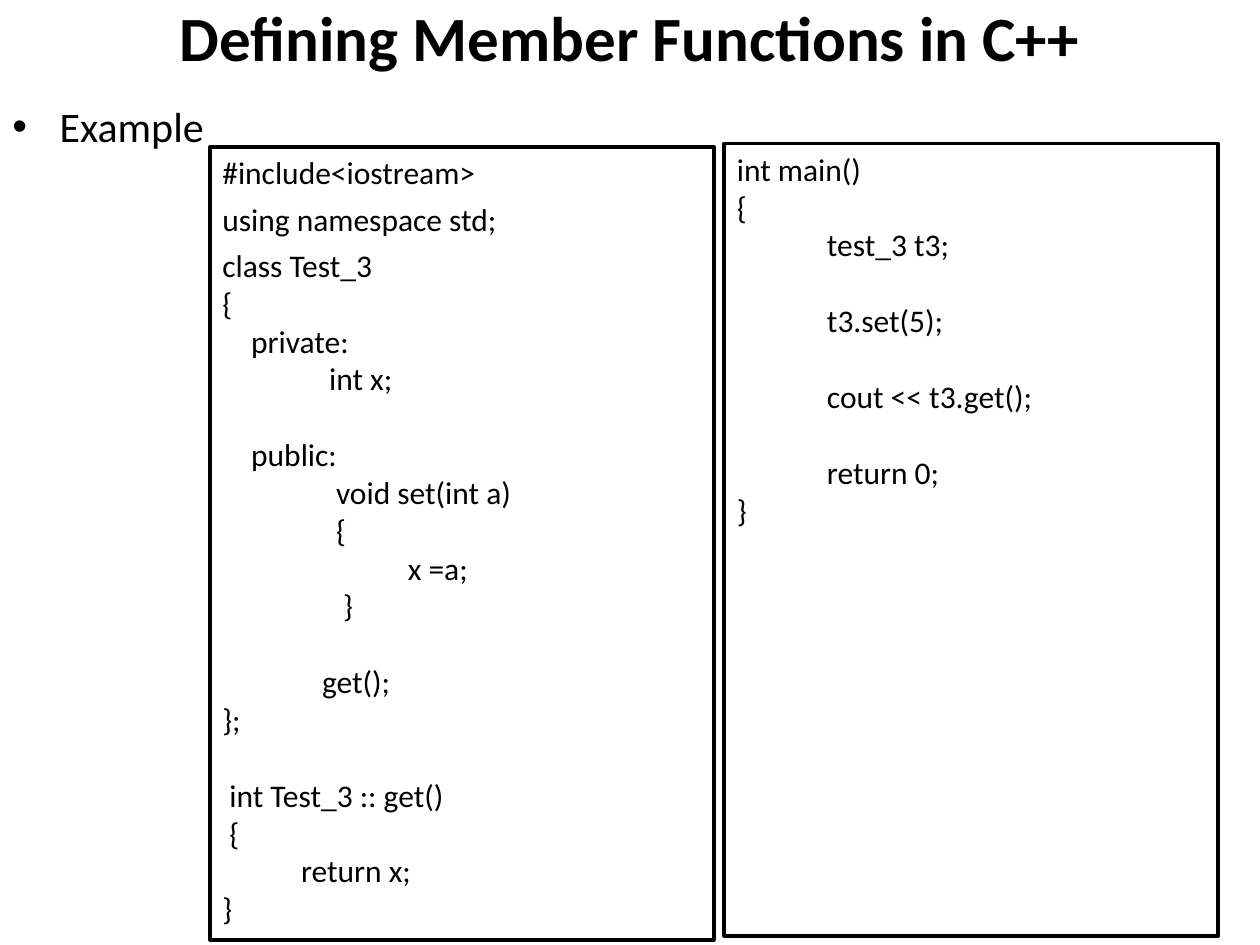
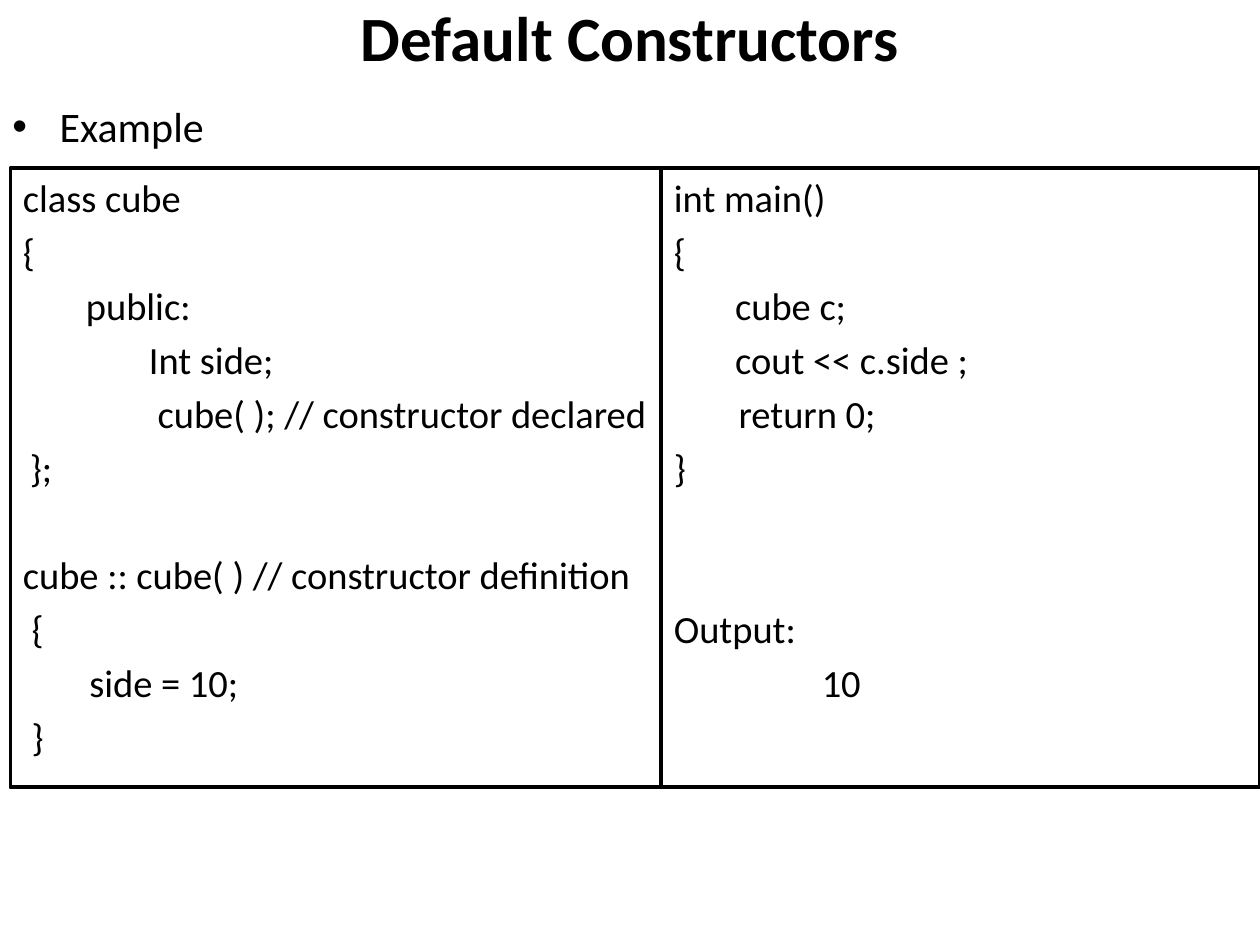
from lxml import etree
from pptx import Presentation
from pptx.dml.color import RGBColor
from pptx.enum import shapes, text
from pptx.oxml import ns
from pptx.util import Pt

BLACK = RGBColor(0x00, 0x00, 0x00)
FONT = "Calibri"
SLIDE_WIDTH = 720
BULLET_INDENT = 27
SMALL_GAP = 4.9    # between the opening lines of a program
BLANK_LINE = 21.7  # one empty line of 18 pt code

# Each code line is (text, indent, extra space before)
MEMBER_CLASS = [
    ("#include<iostream>", 0, 0),
    ("using namespace std;", 0, SMALL_GAP),
    ("class Test_3", 0, SMALL_GAP),
    ("{", 0, 0),
    ("private:", 16.5, 0),
    ("int x;", 61, 0),
    ("public:", 16.5, BLANK_LINE),
    ("void set(int a)", 65, 0),
    ("{", 65, 0),
    ("x =a;", 106, 0),
    ("}", 69, 0),
    ("get();", 57, BLANK_LINE),
    ("};", 0, 0),
    ("int Test_3 :: get()", 4, BLANK_LINE),
    ("{", 4, 0),
    ("return x;", 45, 0),
    ("}", 0, 0),
]
MEMBER_MAIN = [
    ("int main()", 0, 0),
    ("{", 0, 0),
    ("test_3 t3;", 51.5, 0),
    ("t3.set(5);", 51.5, BLANK_LINE),
    ("cout << t3.get();", 51.5, BLANK_LINE),
    ("return 0;", 51.5, BLANK_LINE),
    ("}", 0, 0),
]
CUBE_CLASS = [
    ("class cube", 0, 0),
    ("{", 0, 0),
    ("public:", 36, 0),
    ("Int side;", 72, 0),
    ("cube( ); // constructor declared", 77, 0),
    ("};", 4, 0),
    ("cube :: cube( ) // constructor definition", 0, 30.8),
    ("{", 5, 0),
    ("side = 10;", 38, 0),
    ("}", 5, 0),
]
CUBE_MAIN = [
    ("int main()", 0, 0),
    ("{", 0, 0),
    ("cube c;", 35, 0),
    ("cout << c.side ;", 35, 0),
    ("return 0;", 37, 0),
    ("}", 0, 0),
    ("Output:", 0, 61.6),
    ("10", 84.5, 0),
]

# Title, font size, line gap, then the code boxes as (left, top, width, height, lines)
SLIDES = [
    ("Defining Member Functions in C++", 18, 0, [
        (120, 84, 288, 453, MEMBER_CLASS),
        (414, 82, 282, 453, MEMBER_MAIN),
    ]),
    ("Default Constructors", 22, 4.4, [
        (6, 96, 372, 354, CUBE_CLASS),
        (378, 96, 342, 354, CUBE_MAIN),
    ]),
]


def style_text(paragraph, size, bold=False):
    for run in paragraph.runs:
        run.font.name = FONT
        run.font.size = Pt(size)
        run.font.bold = bold
        run.font.color.rgb = BLACK


def add_label(slide, label, top, height, size, bold=False):
    box = slide.shapes.add_textbox(0, Pt(top), Pt(SLIDE_WIDTH), Pt(height))
    box.text_frame.word_wrap = True
    box.text_frame.text = label
    style_text(box.text_frame.paragraphs[0], size, bold)
    return box.text_frame


presentation = Presentation()
presentation.slide_width = Pt(SLIDE_WIDTH)
presentation.slide_height = Pt(540)

for title, code_size, line_gap, code_boxes in SLIDES:
    slide = presentation.slides.add_slide(presentation.slide_layouts[6])

    # Title
    title_frame = add_label(slide, title, -24, 90, 36, bold=True)
    title_frame.vertical_anchor = text.MSO_ANCHOR.MIDDLE
    title_frame.paragraphs[0].alignment = text.PP_ALIGN.CENTER

    # Bulleted heading
    heading_frame = add_label(slide, "Example", 54, 522, 24)
    properties = heading_frame.paragraphs[0]._p.get_or_add_pPr()
    properties.set("marL", str(Pt(BULLET_INDENT)))
    properties.set("indent", str(-Pt(BULLET_INDENT)))
    etree.SubElement(properties, ns.qn("a:buFont"), typeface="Arial")
    etree.SubElement(properties, ns.qn("a:buChar"), char="•")

    # Code boxes
    for left, top, width, height, lines in code_boxes:
        shape = slide.shapes.add_shape(shapes.MSO_SHAPE.RECTANGLE,
                                       Pt(left), Pt(top), Pt(width), Pt(height))
        shape.shadow.inherit = False
        shape.fill.background()
        shape.line.color.rgb = BLACK
        shape.line.width = Pt(2.25)
        frame = shape.text_frame
        frame.word_wrap = True
        frame.margin_right = 0
        frame.vertical_anchor = text.MSO_ANCHOR.TOP
        frame.text = "\n".join(line for line, _, _ in lines)
        for index, (paragraph, (_, indent, gap)) in enumerate(zip(frame.paragraphs, lines)):
            paragraph.alignment = text.PP_ALIGN.LEFT
            paragraph.space_before = Pt(gap + line_gap if index else 0)
            paragraph._p.get_or_add_pPr().set("marL", str(Pt(indent)))
            style_text(paragraph, code_size)

presentation.save("out.pptx")
